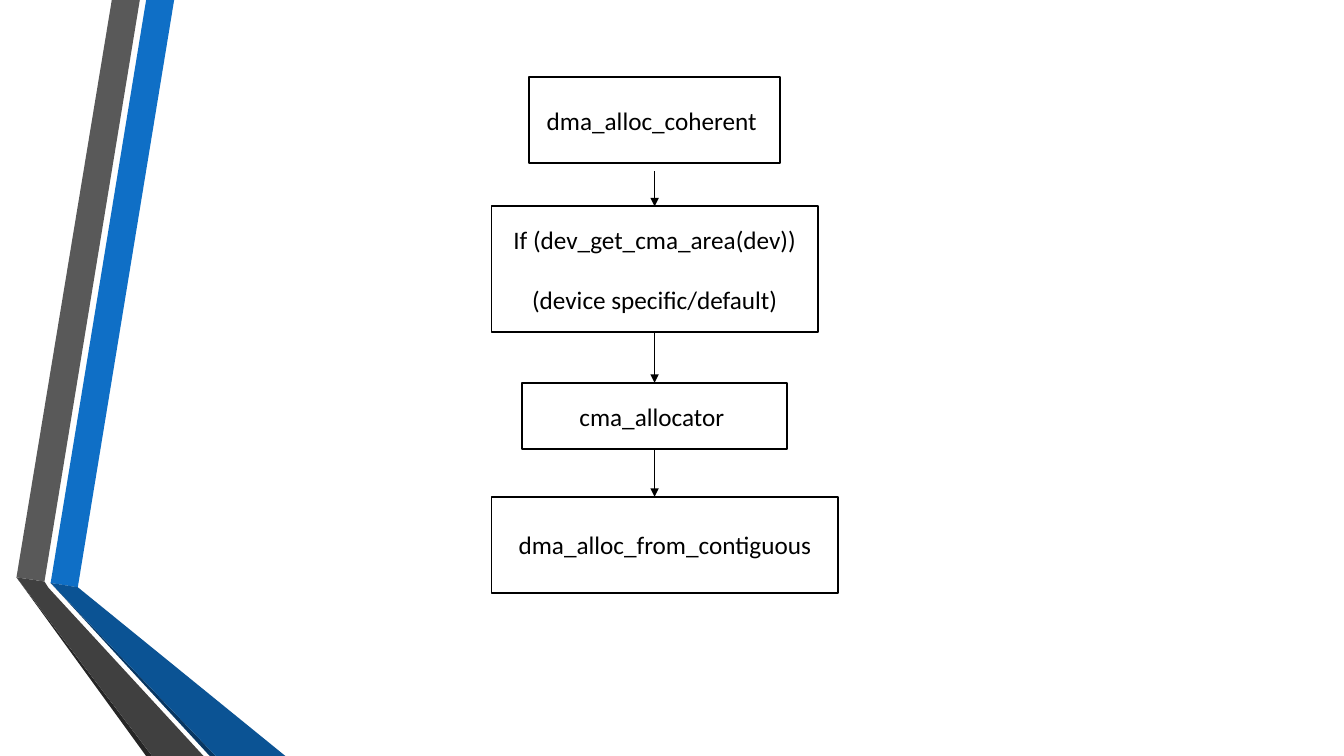
from dataclasses import dataclass

from lxml import etree
from pptx import Presentation
from pptx import util as u
from pptx.dml.color import RGBColor
from pptx.enum import shapes, text
from pptx.oxml.ns import qn


@dataclass(frozen=True)
class Theme:
    ink: str = "000000"
    paper: str = "FFFFFF"
    blue: str = "0F6FC6"
    blue_dark: str = "0B5394"
    blue_edge: str = "083763"
    gray: str = "595959"
    gray_dark: str = "404040"
    gray_edge: str = "262626"
    font: str = "Calibri"
    body: float = 18
    line: float = 1.25


THEME = Theme()
TOP, LEFT, BOTTOM = 0, 1, 2


def rgb(value):
    return RGBColor.from_string(value)


def write(tf, content, size=THEME.body, color=THEME.ink, font=THEME.font,
          align=text.PP_ALIGN.CENTER, gap=0):
    """Fill a text frame, one paragraph a line, with gap points between them."""
    tf.word_wrap = True
    tf.vertical_anchor = text.MSO_ANCHOR.MIDDLE
    for i, line in enumerate(content.split("\n")):
        p = tf.add_paragraph() if i else tf.paragraphs[0]
        p.alignment = align
        p.space_before = u.Pt(gap if i else 0)
        r = p.add_run()
        r.text = line
        r.font.size = u.Pt(size)
        r.font.name = font
        r.font.color.rgb = rgb(color)


def add_ribbons(s, x, y, h):
    """Two folded ribbons: upper strips, then the edges and faces below the fold."""
    gray_fold, gray_inner = (0, 412.4), (20, 415.4)
    blue_fold, blue_inner = (24.4, 416.4), (43.8, 419.5)
    facets = [
        (THEME.blue, [blue_fold, blue_inner, (112.6, 0), (92.6, 0)]),
        (THEME.gray, [gray_fold, gray_inner, (88.1, 0), (68.1, 0)]),
        (THEME.gray_edge, [gray_fold, (92.6, h), (96.9, h)]),
        (THEME.blue_edge, [blue_fold, (138, h), (142.3, h)]),
        (THEME.blue_dark, [blue_fold, (142.3, h), (192, h), blue_inner]),
        (THEME.gray_dark, [gray_fold, (96.9, h), (133.6, h), (22.8, 419.8), gray_inner]),
    ]
    group = s.shapes.add_group_shape()
    for color, corners in facets:
        points = [(u.Pt(x + px), u.Pt(y + py)) for px, py in corners]
        builder = group.shapes.build_freeform(*points[0])
        builder.add_line_segments(points[1:], close=True)
        sp = builder.convert_to_shape()
        sp.shadow.inherit = False
        sp.fill.solid()
        sp.fill.fore_color.rgb = rgb(color)
        sp.line.fill.background()


def add_step(s, content, x, y, w, h):
    sp = s.shapes.add_shape(shapes.MSO_SHAPE.RECTANGLE, *map(u.Pt, (x, y, w, h)))
    sp.shadow.inherit = False
    sp.fill.solid()
    sp.fill.fore_color.rgb = rgb(THEME.paper)
    sp.line.color.rgb = rgb(THEME.ink)
    sp.line.width = u.Pt(THEME.line)
    write(sp.text_frame, content, gap=21)
    return sp


def add_arrow(s, x, y1, y2):
    c = s.shapes.add_connector(shapes.MSO_CONNECTOR.STRAIGHT,
                               *map(u.Pt, (x, y1, x, y2)))
    c.line.color.rgb = rgb(THEME.ink)
    c.line.width = u.Pt(THEME.line)
    etree.SubElement(c.line._get_or_add_ln(), qn("a:tailEnd"), type="triangle")
    etree.SubElement(c._element.spPr, qn("a:effectLst"))
    return c


def add_call_flow(s, x, y):
    """Steps from top to bottom; the last one starts at the left edge, off the axis."""
    axis = x + 116.6
    steps = [
        ("dma_alloc_coherent ", axis - 89.6, 0, 179.2, 61.2),
        ("If (dev_get_cma_area(dev))\n(device specific/default)", x, 92.2, 233.2, 89.8),
        ("cma_allocator ", axis - 94.8, 218.2, 189.6, 47.6),
        ("dma_alloc_from_contiguous", x, 299.6, 247.8, 68.6),
    ]
    boxes = [add_step(s, name, left, y + top, w, h) for name, left, top, w, h in steps]
    for i, (upper, lower) in enumerate(zip(steps, steps[1:])):
        start_gap = 0 if i else 6
        c = add_arrow(s, axis, y + upper[2] + upper[4] + start_gap, y + lower[2])
        if not start_gap:
            c.begin_connect(boxes[i], BOTTOM)
        if i + 1 < len(boxes) - 1:
            c.end_connect(boxes[i + 1], TOP)


def main():
    prs = Presentation()
    prs.slide_width, prs.slide_height = u.Pt(960), u.Pt(540)
    s = prs.slides.add_slide(prs.slide_layouts[6])
    s.background.fill.solid()
    s.background.fill.fore_color.rgb = rgb(THEME.paper)
    add_ribbons(s, 11.8, 0, 540)
    add_call_flow(s, 351, 55.2)
    prs.save("out.pptx")


if __name__ == "__main__":
    main()
